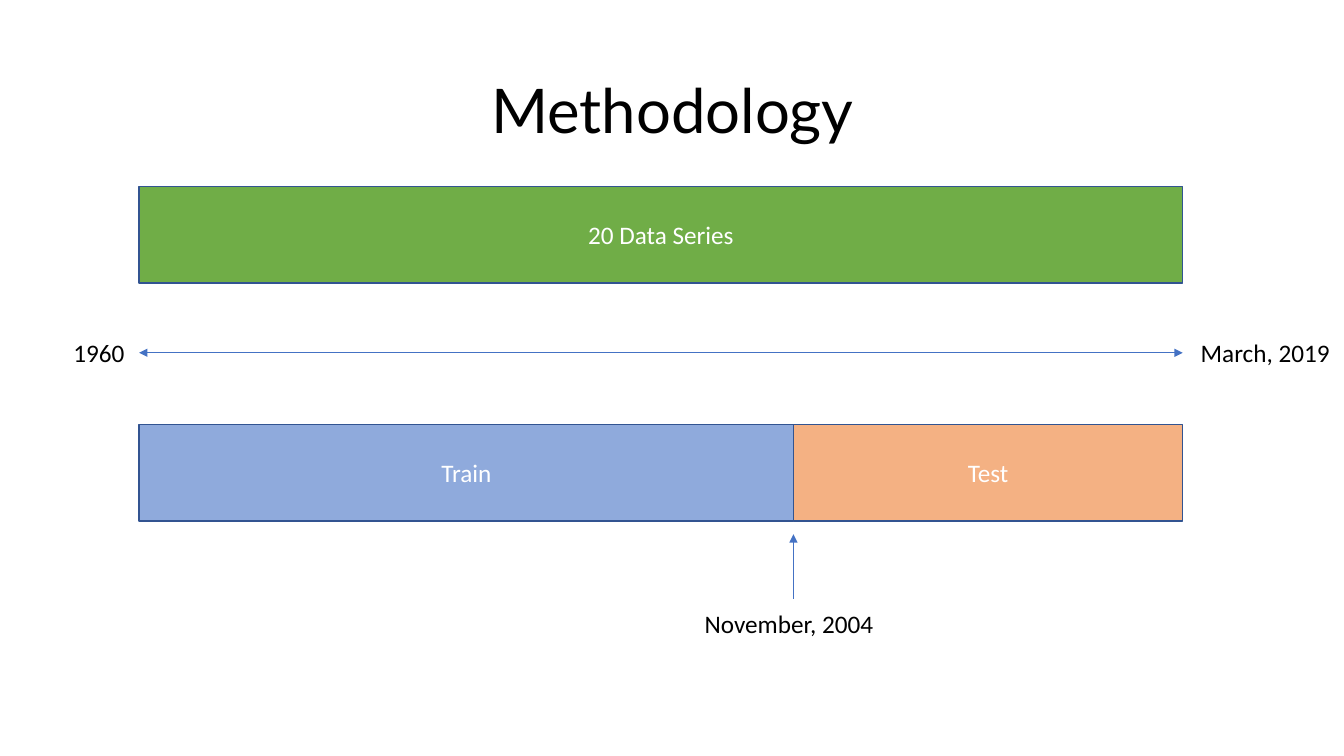
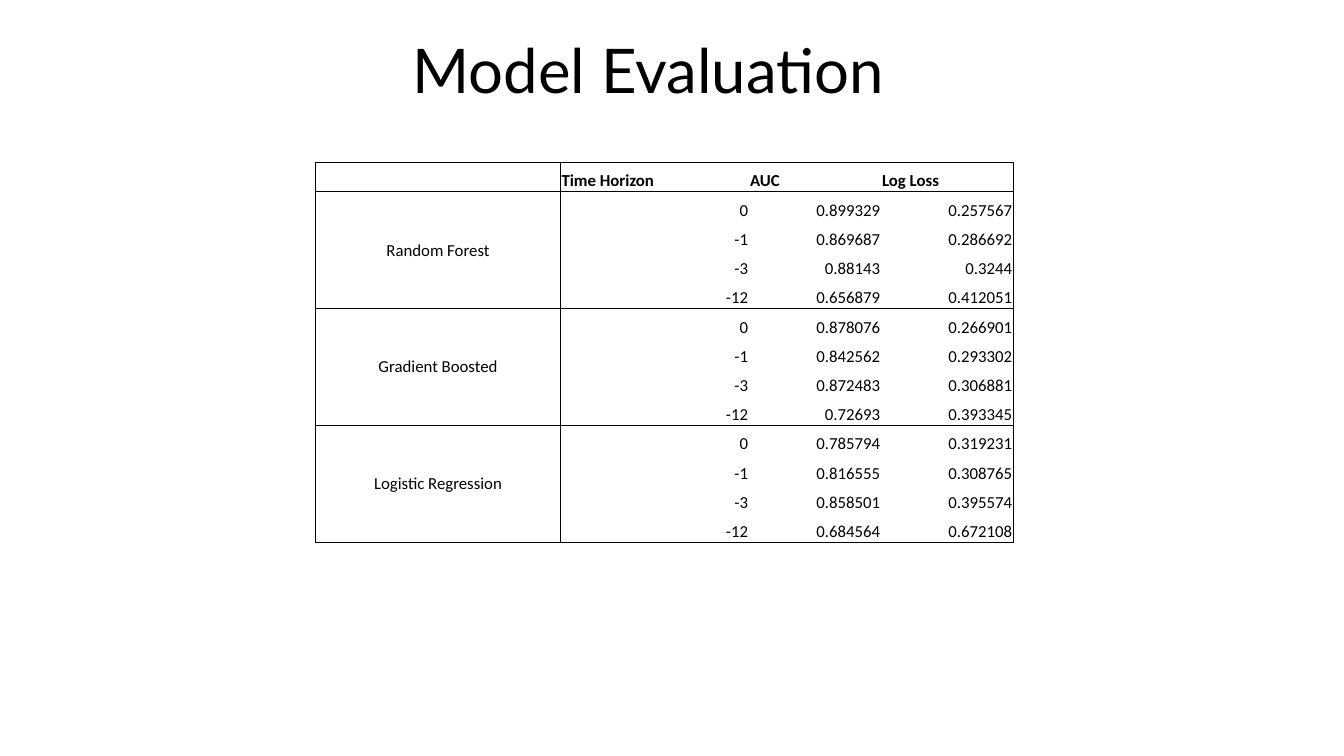
"""Build two slides: the train and test timeline, and the model evaluation table."""
from lxml import etree
from pptx import Presentation
from pptx import util as u
from pptx.dml.color import RGBColor
from pptx.enum import shapes, text
from pptx.oxml.ns import qn

BLACK = RGBColor(0x00, 0x00, 0x00)
WHITE = RGBColor(0xFF, 0xFF, 0xFF)
GREEN = RGBColor(0x70, 0xAD, 0x47)
LIGHT_BLUE = RGBColor(0x8F, 0xAA, 0xDC)
ORANGE = RGBColor(0xF4, 0xB1, 0x83)
OUTLINE = RGBColor(0x32, 0x54, 0x91)
ARROW = RGBColor(0x44, 0x72, 0xC4)
TITLE_FONT, BODY_FONT = "Lato", "Calibri"

START, SPLIT, END = 1.38, 7.87, 11.73
BAR_HEIGHT = 0.96
BARS = [
    ("20 Data Series", START, END, 1.85, GREEN),
    ("Train", START, SPLIT, 4.21, LIGHT_BLUE),
    ("Test", SPLIT, END, 4.21, ORANGE),
]
ARROWS = [
    ((START, 3.5), (END, 3.5), ("headEnd", "tailEnd")),
    ((SPLIT, 5.94), (SPLIT, 5.3), ("tailEnd",)),
]
DATES = [
    ("1960", 0.63, 3.3, 0.72),
    ("March, 2019", 11.81, 3.3, 1.51),
    ("November, 2004", 6.89, 5.99, 2.15),
]

HEADERS = ["", "Time Horizon", "AUC", "Log Loss"]
HORIZONS = ["0", "-1", "-3", "-12"]
SCORES = {
    "Random Forest": [("0.899329", "0.257567"), ("0.869687", "0.286692"),
                      ("0.88143", "0.3244"), ("0.656879", "0.412051")],
    "Gradient Boosted": [("0.878076", "0.266901"), ("0.842562", "0.293302"),
                         ("0.872483", "0.306881"), ("0.72693", "0.393345")],
    "Logistic Regression": [("0.785794", "0.319231"), ("0.816555", "0.308765"),
                            ("0.858501", "0.395574"), ("0.684564", "0.672108")],
}
COLUMN_WIDTHS = [2.43, 1.87, 1.31, 1.31]
ROW_HEIGHT = 0.29


def write(frame, words, size, color=BLACK, align=text.PP_ALIGN.LEFT, font=BODY_FONT, bold=False):
    """Put one formatted paragraph in a text frame."""
    frame.text = words
    para = frame.paragraphs[0]
    para.alignment = align
    for span in para.runs or [para.add_run()]:
        span.font.name = font
        span.font.size = u.Pt(size)
        span.font.bold = bold
        span.font.color.rgb = color
    return para


def add_page(deck, title, left, top):
    """Add a title-only slide with the shared title style."""
    page = deck.slides.add_slide(deck.slide_layouts[5])
    box = page.shapes.title
    box.left, box.top = u.Inches(left), u.Inches(top)
    box.width, box.height = u.Inches(11.5), u.Inches(1.45)
    box.text_frame.vertical_anchor = text.MSO_ANCHOR.MIDDLE
    para = write(box.text_frame, title, 44, align=text.PP_ALIGN.CENTER, font=TITLE_FONT)
    para.line_spacing = 0.9
    return page


def add_bar(page, words, left, right, top, color):
    """Add one labelled period bar."""
    bar = page.shapes.add_shape(shapes.MSO_SHAPE.RECTANGLE, u.Inches(left), u.Inches(top),
                                u.Inches(right - left), u.Inches(BAR_HEIGHT))
    bar.shadow.inherit = False
    bar.fill.solid()
    bar.fill.fore_color.rgb = color
    bar.line.color.rgb = OUTLINE
    bar.line.width = u.Pt(1)
    bar.text_frame.vertical_anchor = text.MSO_ANCHOR.MIDDLE
    write(bar.text_frame, words, 18, WHITE, text.PP_ALIGN.CENTER)


def add_arrow(page, start, end, tips):
    """Add a thin line with triangle tips at the given ends."""
    points = [u.Inches(value) for value in start + end]
    arrow = page.shapes.add_connector(shapes.MSO_CONNECTOR.STRAIGHT, *points)
    arrow.line.color.rgb = ARROW
    arrow.line.width = u.Pt(0.5)
    for tip in tips:
        etree.SubElement(arrow.line._get_or_add_ln(), qn("a:" + tip), type="triangle")
    etree.SubElement(arrow._element.spPr, qn("a:effectLst"))


def add_date(page, words, left, top, width):
    """Add one date label."""
    box = page.shapes.add_textbox(u.Inches(left), u.Inches(top), u.Inches(width), u.Inches(0.4))
    box.text_frame.word_wrap = True
    write(box.text_frame, words, 18)


def set_borders(cell, sides):
    """Draw the named sides of a cell and hide the others."""
    properties = cell._tc.get_or_add_tcPr()
    for side in "LRTB":
        line = etree.SubElement(properties, qn("a:ln" + side), w=str(u.Pt(0.5)))
        if side in sides:
            fill = etree.SubElement(line, qn("a:solidFill"))
            etree.SubElement(fill, qn("a:srgbClr"), val=str(BLACK))
        else:
            etree.SubElement(line, qn("a:noFill"))


def add_scores(page):
    """Add the table of scores, grouped by model."""
    rows = [HEADERS]
    for model, scores in SCORES.items():
        for index, (horizon, score) in enumerate(zip(HORIZONS, scores)):
            rows.append([model if index == 0 else "", horizon, *score])
    group = len(HORIZONS)
    last = len(HEADERS) - 1
    table = page.shapes.add_table(len(rows), len(HEADERS), u.Inches(3.13), u.Inches(1.61),
                                  u.Inches(sum(COLUMN_WIDTHS)),
                                  u.Inches(ROW_HEIGHT * len(rows))).table
    table.first_row = table.horz_banding = False
    for column, width in zip(table.columns, COLUMN_WIDTHS):
        column.width = u.Inches(width)
    for r, values in enumerate(rows):
        table.rows[r].height = u.Inches(ROW_HEIGHT)
        for c, words in enumerate(values):
            cell = table.cell(r, c)
            cell.margin_left = cell.margin_right = cell.margin_top = u.Inches(0.01)
            cell.margin_bottom = 0
            cell.vertical_anchor = text.MSO_ANCHOR.BOTTOM if c else text.MSO_ANCHOR.MIDDLE
            align = text.PP_ALIGN.RIGHT if c else text.PP_ALIGN.CENTER
            write(cell.text_frame, words, 12, align=align if r else text.PP_ALIGN.LEFT,
                  bold=r == 0)
            drawn = {"L": c <= 1, "R": c in (0, last),
                     "T": c == 0 or r == 0 or r % group == 1,
                     "B": c == 0 or r % group == 0}
            set_borders(cell, [side for side, shown in drawn.items() if shown])
            cell.fill.background()
    for first in range(1, len(rows), group):
        table.cell(first, 0).merge(table.cell(first + group - 1, 0))


def main():
    """Build and save the deck."""
    deck = Presentation()
    deck.slide_width, deck.slide_height = u.Inches(13.33), u.Inches(7.5)
    page = add_page(deck, "Methodology", 0.92, 0.4)
    for bar in BARS:
        add_bar(page, *bar)
    for arrow in ARROWS:
        add_arrow(page, *arrow)
    for date in DATES:
        add_date(page, *date)
    add_scores(add_page(deck, "Model Evaluation", 0.68, 0))
    deck.save("out.pptx")


if __name__ == "__main__":
    main()
